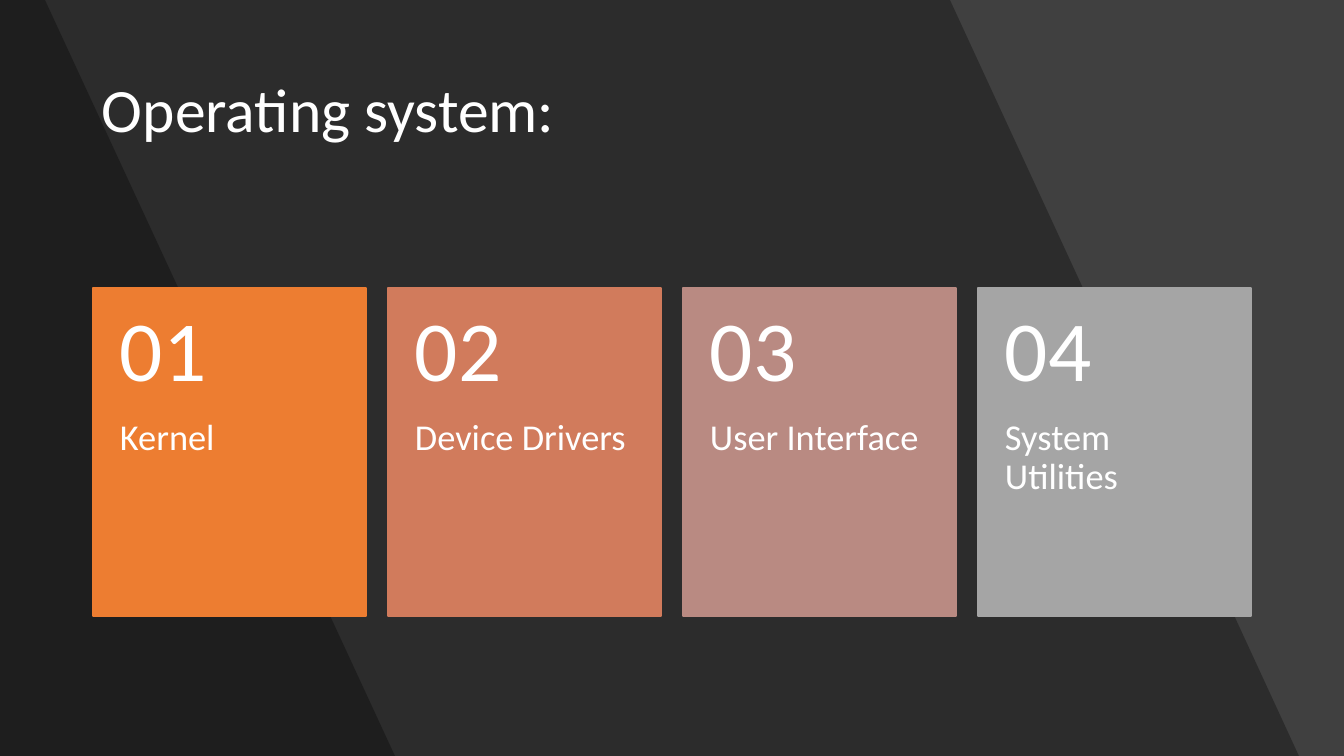
import dataclasses
import typing

import pptx
import pptx.dml.color
import pptx.enum.shapes
import pptx.enum.text
import pptx.oxml
import pptx.oxml.ns
import pptx.util

W, H = 1344, 756
EMU = 12192000 / W  # one px
MIDDLE = pptx.enum.text.MSO_ANCHOR.MIDDLE
TOP = pptx.enum.text.MSO_ANCHOR.TOP


@dataclasses.dataclass(frozen=True)
class Theme:
    font: str = "Calibri"
    text: str = "FFFFFF"
    black: str = "000000"
    backdrop: str = "404040"
    title_size: int = 44
    number_size: int = 61
    label_size: int = 26
    shade_opacity: int = 30


class Band(typing.NamedTuple):
    top_x: int
    bottom_x: int


class Card(typing.NamedTuple):
    label: str
    color: str


THEME = Theme()
BANDS = [Band(950, 1299), Band(45, 395)]
CARDS = [
    Card("Kernel", "ED7D31"),
    Card("Device Drivers", "D17B5C"),
    Card("User Interface", "B98A82"),
    Card("System Utilities", "A5A5A5"),
]
CARD_LEFT, CARD_TOP, CARD_W, CARD_H = 93, 288, 273, 328
CARD_PITCH, NUMBER_H, PAD = 295, 131, 27


def px(n: int) -> int:
    return round(n * EMU)


def rgb(color: str) -> pptx.dml.color.RGBColor:
    return pptx.dml.color.RGBColor.from_string(color)


def add_rect(s, x: int, y: int, w: int, h: int, color: str, outlined: bool = False) -> None:
    sp = s.shapes.add_shape(pptx.enum.shapes.MSO_SHAPE.RECTANGLE, px(x), px(y), px(w), px(h))
    sp.shadow.inherit = False
    sp.fill.solid()
    sp.fill.fore_color.rgb = rgb(color)
    if outlined:
        sp.line.color.rgb = rgb(color)
        sp.line.width = pptx.util.Pt(1)
    else:
        sp.line.fill.background()


def add_band(s, band: Band) -> None:
    fb = s.shapes.build_freeform(0, 0, scale=EMU)
    fb.add_line_segments([(band.top_x, 0), (band.bottom_x, H), (0, H)], close=True)
    sp = fb.convert_to_shape()
    sp.shadow.inherit = False
    sp.line.fill.background()
    sp.fill.solid()
    sp.fill.fore_color.rgb = rgb(THEME.black)
    clr = sp.fill._xPr.find(".//" + pptx.oxml.ns.qn("a:srgbClr"))
    alpha = pptx.oxml.parse_xml(
        f'<a:alpha {pptx.oxml.ns.nsdecls("a")} val="{THEME.shade_opacity * 1000}"/>')
    clr.append(alpha)


def add_text(s, text: str, *, x: int, y: int, w: int, h: int, size: int,
             insets: tuple[int, int, int, int], anchor=MIDDLE) -> None:
    tf = s.shapes.add_textbox(px(x), px(y), px(w), px(h)).text_frame
    tf.word_wrap = True
    tf.vertical_anchor = anchor
    tf.margin_left, tf.margin_top, tf.margin_right, tf.margin_bottom = map(px, insets)
    p = tf.paragraphs[0]
    p.line_spacing = 0.9
    r = p.add_run()
    r.text = text
    r.font.name = THEME.font
    r.font.size = pptx.util.Pt(size)
    r.font.color.rgb = rgb(THEME.text)


def add_card(s, i: int, card: Card) -> None:
    x = CARD_LEFT + i * CARD_PITCH
    add_rect(s, x, CARD_TOP, CARD_W, CARD_H, card.color, outlined=True)
    add_text(s, card.label, x=x, y=CARD_TOP + NUMBER_H, w=CARD_W, h=CARD_H - NUMBER_H,
             size=THEME.label_size, insets=(PAD, 0, PAD, 36), anchor=TOP)
    add_text(s, f"{i + 1:02}", x=x, y=CARD_TOP, w=CARD_W, h=NUMBER_H,
             size=THEME.number_size, insets=(PAD, 18, PAD, 18))


def main() -> None:
    prs = pptx.Presentation()
    prs.slide_width, prs.slide_height = px(W), px(H)
    s = prs.slides.add_slide(prs.slide_layouts[6])

    # Backdrop with slanted shades
    s.background.fill.solid()
    s.background.fill.fore_color.rgb = rgb(THEME.black)
    add_rect(s, 0, 0, W, H, THEME.backdrop)
    for band in BANDS:
        add_band(s, band)

    # Title
    add_text(s, "Operating system:", x=92, y=40, w=1160, h=146,
             size=THEME.title_size, insets=(10, 5, 10, 5))

    # Numbered cards
    for i, card in enumerate(CARDS):
        add_card(s, i, card)

    prs.save("out.pptx")


if __name__ == "__main__":
    main()
